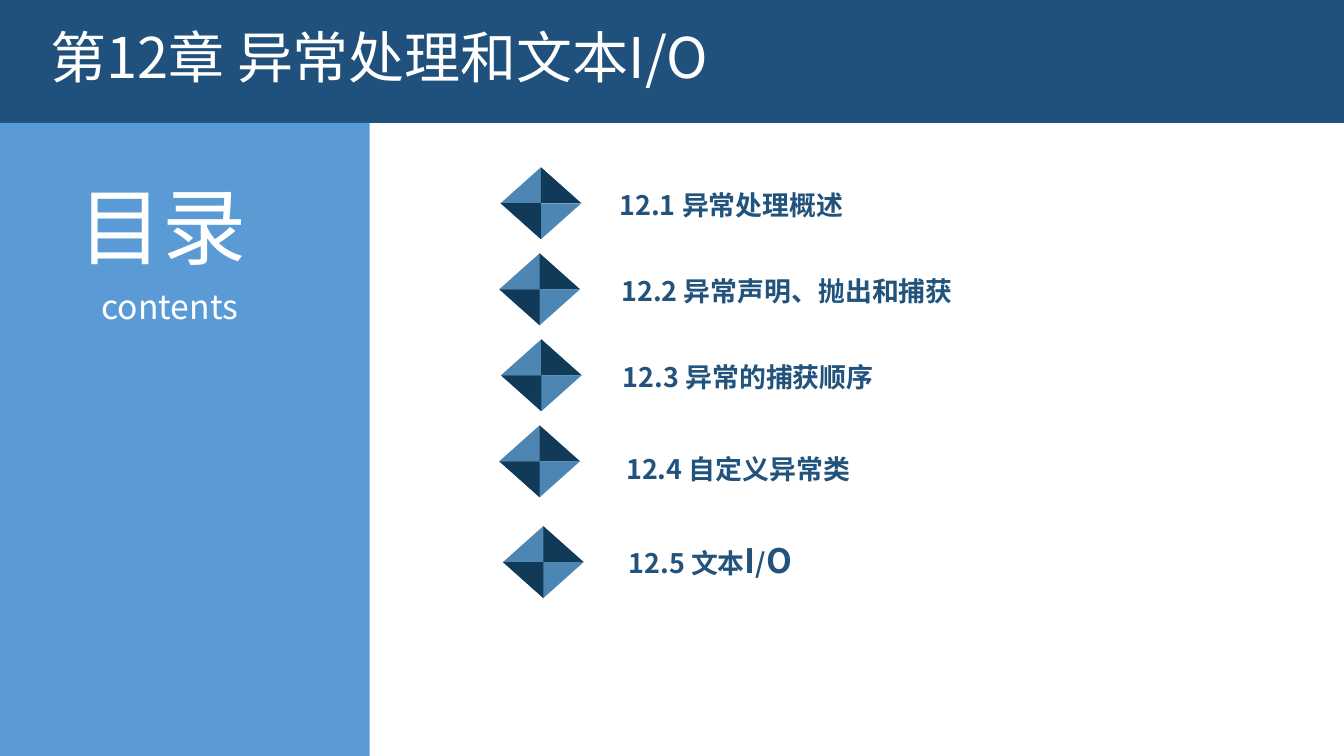
from lxml import etree
from pptx import Presentation
from pptx.dml.color import RGBColor
from pptx.enum.shapes import MSO_SHAPE as SHAPE
from pptx.enum.text import MSO_ANCHOR as ANCHOR, MSO_AUTO_SIZE as FIT, PP_ALIGN as ALIGN
from pptx.oxml.ns import qn
from pptx.util import Inches, Pt

NAVY = RGBColor(0x20, 0x51, 0x7C)
SKY = RGBColor(0x5B, 0x9B, 0xD5)
STEEL = RGBColor(0x4D, 0x86, 0xB3)
INK = RGBColor(0x11, 0x3A, 0x59)
TOPIC = RGBColor(0x21, 0x53, 0x7D)
WHITE = RGBColor(0xFF, 0xFF, 0xFF)

COLS, ROWS = 40, 22.5
BAR_H, SIDE_W = 3.66, 11
GEM_W, GEM_H = 2.4, 2.14

# Topic, gem column and row, label column, row and width
TOPICS = [
    ("12.1 异常处理概述", 14.9, 4.98, 18.2, 5.28, 17.67),
    ("12.2 异常声明、抛出和捕获", 14.86, 7.54, 18.26, 7.84, 13),
    ("12.3 异常的捕获顺序", 14.91, 10.1, 18.3, 10.4, 16.2),
    ("12.4 自定义异常类", 14.86, 12.66, 18.4, 13.16, 18.36),
    ("12.5 文本I/O", 14.97, 15.66, 18.47, 15.96, 6.6),
]


class Deck:
    """Holds the style and the current slide; lengths are grid columns and rows."""

    face = "Noto Sans CJK SC"

    def __init__(self):
        self.prs = Presentation()
        self.prs.slide_width, self.prs.slide_height = Inches(13.33), Inches(7.5)
        self.s = self.prs.slides.add_slide(self.prs.slide_layouts[5])

    def x(self, col):
        return round(self.prs.slide_width * col / COLS)

    def y(self, row):
        return round(self.prs.slide_height * row / ROWS)

    def box(self, col, row, w, h):
        return self.x(col), self.y(row), self.x(w), self.y(h)

    def paint(self, sp, color):
        sp.shadow.inherit = False
        sp.fill.solid()
        sp.fill.fore_color.rgb = color
        sp.line.fill.background()
        return sp

    def shape(self, kind, col, row, w, h, color, parent=None):
        shapes = (parent or self.s).shapes
        return self.paint(shapes.add_shape(kind, *self.box(col, row, w, h)), color)

    def facet(self, parent, points, color):
        start, *rest = [(self.x(c), self.y(r)) for c, r in points]
        outline = parent.shapes.build_freeform(*start)
        outline.add_line_segments(rest, close=True)
        self.paint(outline.convert_to_shape(), color)

    def gem(self, col, row):
        g = self.s.shapes.add_group_shape()
        cx, cy = col + GEM_W / 2, row + GEM_H / 2
        self.shape(SHAPE.ISOSCELES_TRIANGLE, col, row, GEM_W, GEM_H / 2, STEEL, g)
        self.facet(g, [(cx, row), (cx, cy), (col + GEM_W, cy)], INK)
        lower = self.shape(SHAPE.ISOSCELES_TRIANGLE, col, cy, GEM_W, GEM_H / 2, STEEL, g)
        lower.rotation = 180
        self.facet(g, [(cx, row + GEM_H), (cx, cy), (col, cy)], INK)

    def fill_text(self, sp, text, size, color, align=ALIGN.LEFT, bold=False, small_caps=False):
        tf = sp.text_frame
        tf.text, tf.word_wrap, tf.vertical_anchor = text, True, ANCHOR.TOP
        tf.auto_size = FIT.SHAPE_TO_FIT_TEXT
        p = tf.paragraphs[0]
        p.alignment = align
        p.font.size, p.font.bold, p.font.name = Pt(size), bold, self.face
        p.font.color.rgb = color
        # East Asian face and small capitals
        props = p._p.pPr.find(qn("a:defRPr"))
        etree.SubElement(props, qn("a:ea")).set("typeface", self.face)
        if small_caps:
            props.set("cap", "small")
        return tf

    def text(self, text, col, row, w, h, size, color, **style):
        sp = self.s.shapes.add_textbox(*self.box(col, row, w, h))
        return self.fill_text(sp, text, size, color, **style)

    def title(self, text, col, row, w, h, size, color):
        sp = self.s.shapes.title
        sp.left, sp.top, sp.width, sp.height = self.box(col, row, w, h)
        self.fill_text(sp, text, size, color)
        self.s.shapes._spTree.append(sp._element)  # in front of the bar

    def topic(self, text, col, row, w):
        tf = self.text(text, col, row, w, 1.44, 24, TOPIC, bold=True, small_caps=True)
        tf.margin_left = tf.margin_right = Inches(0.08)
        tf.margin_top = tf.margin_bottom = Inches(0.04)


def main():
    deck = Deck()

    # Top bar with the chapter title
    deck.shape(SHAPE.RECTANGLE, 0, 0, COLS, BAR_H, NAVY)
    deck.title("第12章 异常处理和文本I/O", 1.2, 0.51, 30.45, 2.31, 40, WHITE)

    # Side panel
    deck.shape(SHAPE.RECTANGLE, 0, BAR_H, SIDE_W, ROWS - BAR_H, SKY)
    deck.text("目录", 2.04, 5.04, 6.57, 3.33, 60, WHITE, align=ALIGN.JUSTIFY)
    deck.text("contents", 2.73, 8.37, 5.22, 1.53, 24, WHITE, align=ALIGN.JUSTIFY)

    # Topic list
    for name, gem_col, gem_row, col, row, w in TOPICS:
        deck.gem(gem_col, gem_row)
        deck.topic(name, col, row, w)

    deck.prs.save("out.pptx")


if __name__ == "__main__":
    main()
